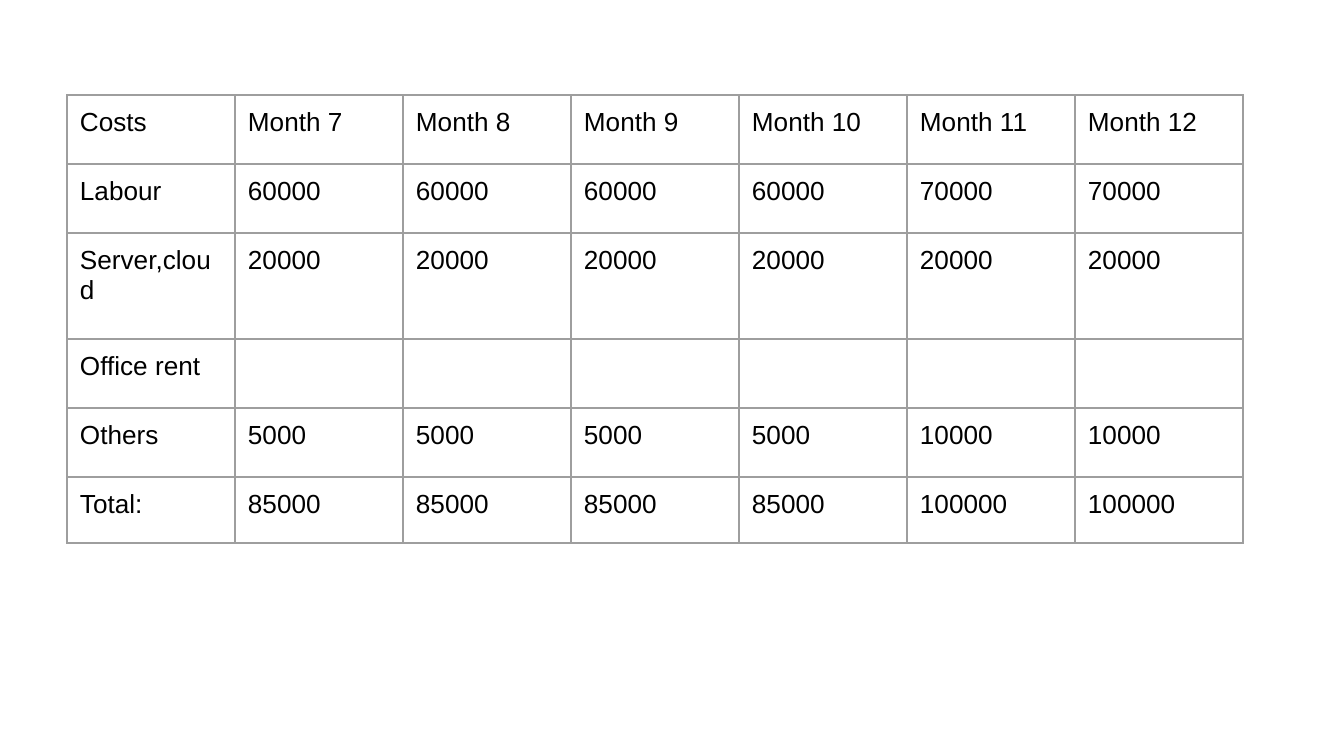
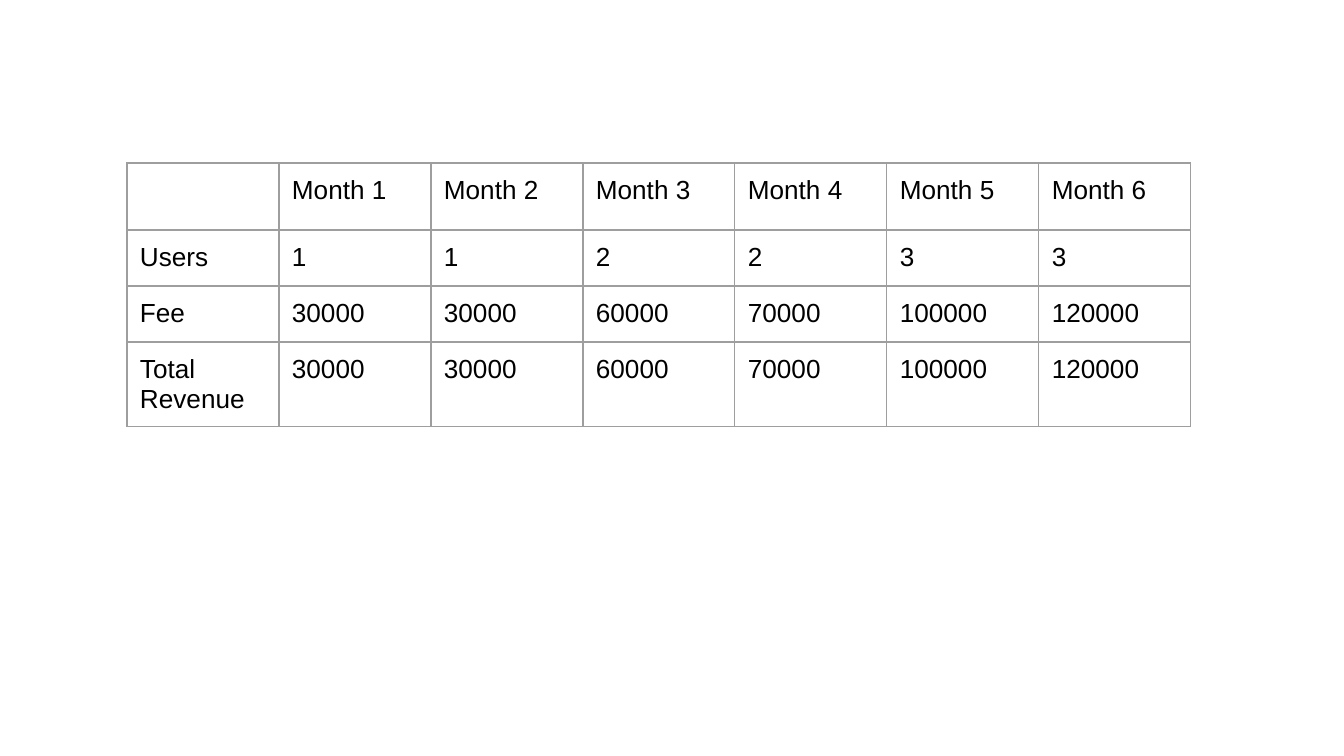
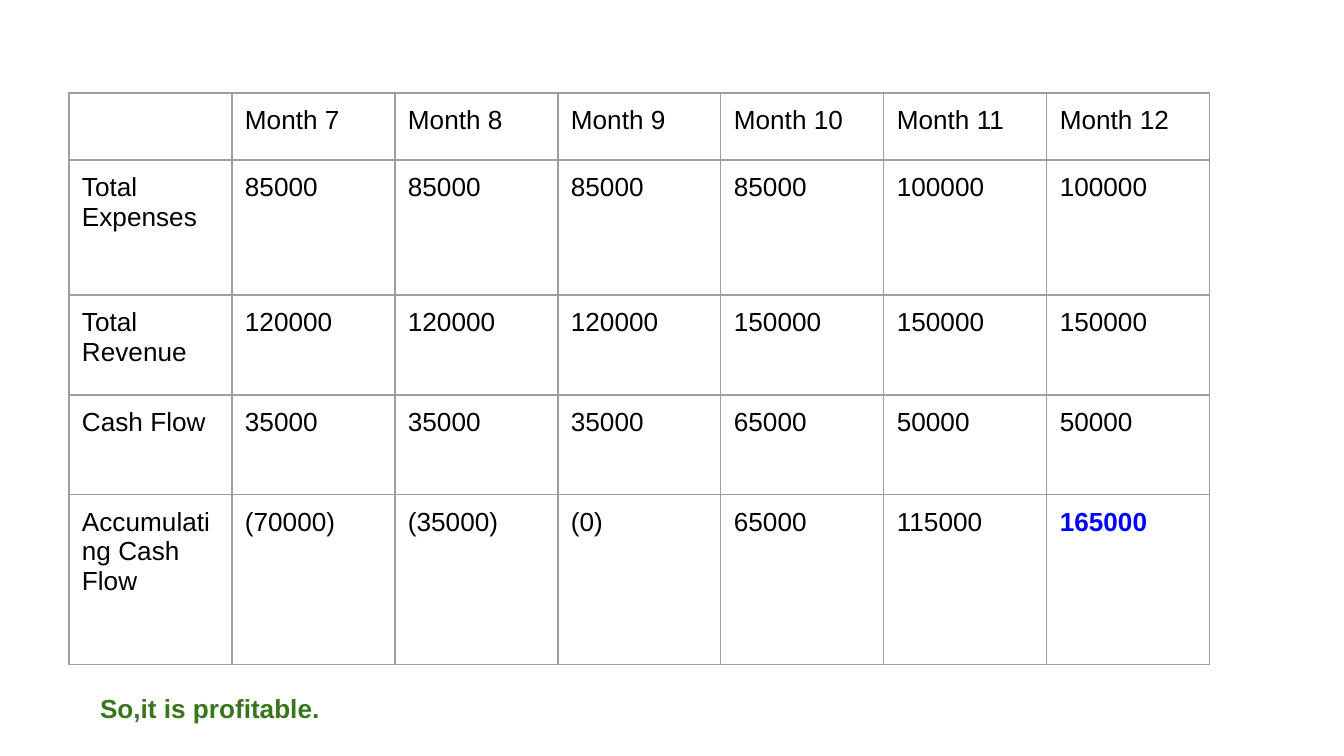
from dataclasses import dataclass

from lxml.etree import SubElement
from pptx import Presentation
from pptx.dml.color import RGBColor as RGB
from pptx.enum.text import MSO_AUTO_SIZE as AutoSize
from pptx.oxml.ns import qn
from pptx.util import Emu, Pt


@dataclass(frozen=True)
class Theme:
    """Colours, type sizes and line widths shared by the slides."""
    font: str = "Arial"
    size: int = 14
    ink: str = "000000"
    paper: str = "FFFFFF"
    border: str = "9E9E9E"
    border_width: float = 0.75
    highlight: str = "0000FF"
    conclusion: str = "38761D"
    inset: int = 13


def px(n):
    """Convert picture pixels to EMU."""
    return Emu(round(n * 914400 / 134.4))


class Deck:
    """Holds the style and the slide being filled."""

    def __init__(self, theme):
        """Start a presentation of 1344 by 756 pixels."""
        self.theme = theme
        self.prs = Presentation()
        self.prs.slide_width, self.prs.slide_height = px(1344), px(756)
        self.s = None

    def slide(self):
        """Add a blank slide on the paper colour."""
        self.s = self.prs.slides.add_slide(self.prs.slide_layouts[6])
        fill = self.s.background.fill
        fill.solid()
        fill.fore_color.rgb = RGB.from_string(self.theme.paper)

    def format(self, tf, color=None, bold=False):
        """Apply the type style to every run of a text frame."""
        for p in tf.paragraphs:
            for r in p.runs:
                r.font.name = self.theme.font
                r.font.size = Pt(self.theme.size)
                r.font.bold = bold
                r.font.color.rgb = RGB.from_string(color or self.theme.ink)

    def inset(self, box):
        """Give a cell or text frame equal margins on all sides."""
        margin = px(self.theme.inset)
        box.margin_left = box.margin_right = margin
        box.margin_top = box.margin_bottom = margin

    def borders(self, cell):
        """Draw the thin border on all four sides of a cell."""
        props = cell._tc.get_or_add_tcPr()
        for i, side in enumerate(("lnL", "lnR", "lnT", "lnB")):
            width = str(Pt(self.theme.border_width))
            line = SubElement(props, qn(f"a:{side}"), w=width)
            fill = SubElement(line, qn("a:solidFill"))
            SubElement(fill, qn("a:srgbClr"), val=self.theme.border)
            props.insert(i, line)

    def table(self, left, top, col_width, heights, rows):
        """Add a bordered table with equal columns and return it."""
        n_cols = len(rows[0])
        frame = self.s.shapes.add_table(
            len(rows), n_cols, px(left), px(top),
            px(col_width * n_cols), px(sum(heights)))
        table = frame.table
        table.first_row = table.horz_banding = False
        for col in table.columns:
            col.width = px(col_width)
        for i, (height, row) in enumerate(zip(heights, rows)):
            table.rows[i].height = px(height)
            for j, value in enumerate(row):
                cell = table.cell(i, j)
                cell.text = str(value)
                cell.fill.background()
                self.inset(cell)
                self.borders(cell)
                self.format(cell.text_frame)
        return table

    def text(self, left, top, width, height, text, color, bold=False):
        """Add a wrapped text box that grows with its text."""
        box = self.s.shapes.add_textbox(px(left), px(top), px(width), px(height))
        tf = box.text_frame
        tf.word_wrap = True
        tf.auto_size = AutoSize.SHAPE_TO_FIT_TEXT
        self.inset(tf)
        tf.text = text
        self.format(tf, color, bold)


def months(first):
    """Name six months in a row."""
    return [f"Month {n}" for n in range(first, first + 6)]


theme = Theme()
deck = Deck(theme)
expenses = [85000] * 4 + [100000] * 2
fees = [30000, 30000, 60000, 70000, 100000, 120000]

deck.slide()
deck.table(67, 95, 168, [69, 69, 106, 69, 69, 66], [
    ["Costs", *months(7)],
    ["Labour", *[60000] * 4, *[70000] * 2],
    ["Server,cloud", *[20000] * 6],
    ["Office rent", *[""] * 6],
    ["Others", *[5000] * 4, *[10000] * 2],
    ["Total:", *expenses],
])

deck.slide()
deck.table(127, 163, 152, [56] * 4, [
    ["", *months(1)],
    ["Users", 1, 1, 2, 2, 3, 3],
    ["Fee", *fees],
    ["Total Revenue", *fees],
])

deck.slide()
cash_flow = deck.table(69, 93, 163, [65, 135, 100, 100, 170], [
    ["", *months(7)],
    ["Total Expenses", *expenses],
    ["Total Revenue", *[120000] * 3, *[150000] * 3],
    ["Cash Flow", *[35000] * 3, 65000, 50000, 50000],
    ["Accumulating Cash Flow", "(70000)", "(35000)", "(0)",
     65000, 115000, 165000],
])
deck.format(cash_flow.cell(4, 6).text_frame, theme.highlight, bold=True)
deck.text(87, 679, 836, 59, "So,it is profitable.", theme.conclusion, bold=True)

deck.prs.save("out.pptx")
